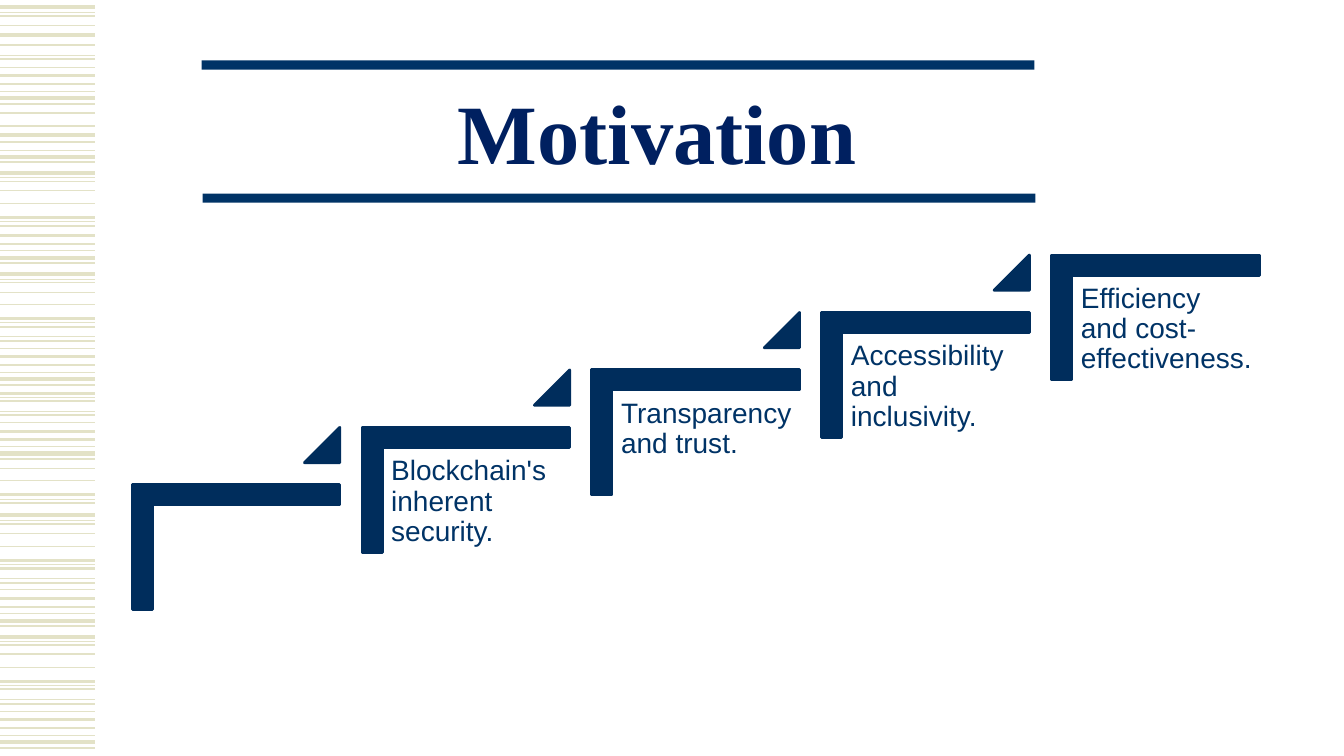
from dataclasses import dataclass

from pptx import Presentation
from pptx.dml.color import RGBColor
from pptx.enum.shapes import MSO_CONNECTOR, MSO_SHAPE
from pptx.enum.text import MSO_ANCHOR, MSO_AUTO_SIZE, PP_ALIGN
from pptx.oxml.ns import qn
from pptx.util import Inches, Pt

STRAIGHT = MSO_CONNECTOR.STRAIGHT
RECT, CORNER, TRIANGLE = MSO_SHAPE.RECTANGLE, MSO_SHAPE.CORNER, MSO_SHAPE.ISOSCELES_TRIANGLE

# Content
TITLE = "Motivation"
STEPS = [
    "",
    "Blockchain's inherent security.",
    "Transparency and trust.",
    "Accessibility and inclusivity.",
    "Efficiency and cost-effectiveness.",
]

# Side band: line weight in points -> heights of its stripes in inches
STRIPES = {
    0.75: [0.12, 0.55, 0.91, 1.49, 1.76, 2.2, 2.49, 2.77, 3.2, 3.34, 3.7, 3.94, 4.08,
           4.43, 4.96, 5.16, 5.6, 5.74, 6.09, 6.36, 6.8, 6.94, 7.3],
    1: [0.16, 0.25, 0.67, 1.12, 1.25, 1.8, 1.89, 2.02, 2.8, 2.9, 3.02, 3.46, 4.19,
        4.65, 4.77, 5.2, 5.29, 5.42, 5.85, 6.4, 6.49, 6.62, 7.06],
    1.5: [0.45, 0.59, 0.83, 1.03, 1.41, 1.61, 2.24, 2.42, 2.61, 3.24, 3.38, 3.62, 3.82,
          3.98, 4.12, 4.36, 4.55, 4.99, 5.64, 5.78, 6.02, 6.21, 6.84, 6.98, 7.22, 7.42],
    2.25: [0.75, 1.34, 2.16, 2.34, 3.16, 3.54, 3.9, 4.28, 4.91, 5.56, 5.94, 6.76, 7.14],
    3: [0.07, 0.35, 0.97, 1.56, 1.72, 2.56, 2.72, 3.76, 4.5, 5.11, 6.16, 6.32, 7.36],
}
BAND_WIDTH = 0.94
RULES = [(2, 0.6), (2.01, 1.92)]
RULE_SIZE = (8.26, 0.09)

# Staircase: first step, then a constant run and rise
START_X, START_Y = 1.31, 4.81
RUN, RISE = 2.28, 0.57
STEP_W, STEP_H = 2.06, 1.24
TEXT_OFFSET, TEXT_W, TEXT_H = 0.21, 1.86, 1.63
MARK = 0.35


@dataclass(frozen=True)
class Theme:
    stripe: RGBColor = RGBColor.from_string("E3E2C7")
    rule: RGBColor = RGBColor.from_string("003366")
    title: RGBColor = RGBColor.from_string("002060")
    step: RGBColor = RGBColor.from_string("002D5C")
    body: RGBColor = RGBColor.from_string("003366")
    title_font: str = "Times New Roman"
    body_font: str = "Arial"
    title_size: float = 60.3
    body_size: float = 20
    outline: float = 2


T = Theme()


def add_stripe(shapes, y, weight):
    line = shapes.add_connector(STRAIGHT, 0, Inches(y), Inches(BAND_WIDTH), Inches(y))
    line.line.color.rgb = T.stripe
    line.line.width = Pt(weight)
    sp_pr = line._element.spPr
    sp_pr.append(sp_pr.makeelement(qn("a:effectLst"), {}))


def add_solid(shapes, kind, x, y, w, h, color, outline=0):
    sp = shapes.add_shape(kind, Inches(x), Inches(y), Inches(w), Inches(h))
    sp.shadow.inherit = False
    sp.fill.solid()
    sp.fill.fore_color.rgb = color
    if outline:
        sp.line.color.rgb = color
        sp.line.width = Pt(outline)
    else:
        sp.line.fill.background()
    return sp


def set_insets(tf, inset):
    tf.margin_left = tf.margin_right = tf.margin_top = tf.margin_bottom = Inches(inset)


def style_text(p, text, font, size, color, spacing, bold=False):
    p.text = text
    p.line_spacing = spacing
    f = p.runs[0].font
    f.name, f.size, f.bold = font, Pt(size), bold
    f.color.rgb = color


def add_title(s):
    sp = s.shapes.title
    sp.left, sp.top, sp.width, sp.height = map(Inches, (0.85, 0.97, 11.33, 1.34))
    tf = sp.text_frame
    tf.auto_size = MSO_AUTO_SIZE.NONE
    tf.vertical_anchor = MSO_ANCHOR.MIDDLE
    set_insets(tf, 0.05)
    tf.margin_bottom = Inches(0.57)
    p = tf.paragraphs[0]
    style_text(p, TITLE, T.title_font, T.title_size, T.title, 0.85, True)
    p.alignment = PP_ALIGN.CENTER


def add_step(shapes, i, text):
    x, y = START_X + i * RUN, START_Y - i * RISE

    # Bracket, turned a quarter about its centre
    shift = (STEP_W - STEP_H) / 2
    bracket = add_solid(shapes, CORNER, x + shift, y - shift, STEP_H, STEP_W, T.step, T.outline)
    bracket.rotation = 90
    bracket.adjustments[0] = bracket.adjustments[1] = 0.161

    # Label under the bracket
    if text:
        box = shapes.add_textbox(Inches(x + TEXT_OFFSET), Inches(y + TEXT_OFFSET),
                                 Inches(TEXT_W), Inches(TEXT_H))
        tf = box.text_frame
        tf.word_wrap = True
        set_insets(tf, 0.08)
        style_text(tf.paragraphs[0], text, T.body_font, T.body_size, T.body, 0.9)

    # Mark leading up to the next step
    if i < len(STEPS) - 1:
        mark = add_solid(shapes, TRIANGLE, x + STEP_W - MARK, y - RISE, MARK, MARK,
                         T.step, T.outline)
        mark.adjustments[0] = 1


def main():
    prs = Presentation()
    prs.slide_width, prs.slide_height = Inches(13.33), Inches(7.5)
    s = prs.slides.add_slide(prs.slide_layouts[5])

    # Side band
    band = s.shapes.add_group_shape()
    for weight, heights in STRIPES.items():
        for y in heights:
            add_stripe(band.shapes, y, weight)

    # Title between two rules
    for x, y in RULES:
        add_solid(s.shapes, RECT, x, y, *RULE_SIZE, T.rule)
    add_title(s)

    # Staircase
    for i, text in enumerate(STEPS):
        add_step(s.shapes, i, text)

    prs.save("out.pptx")


if __name__ == "__main__":
    main()
